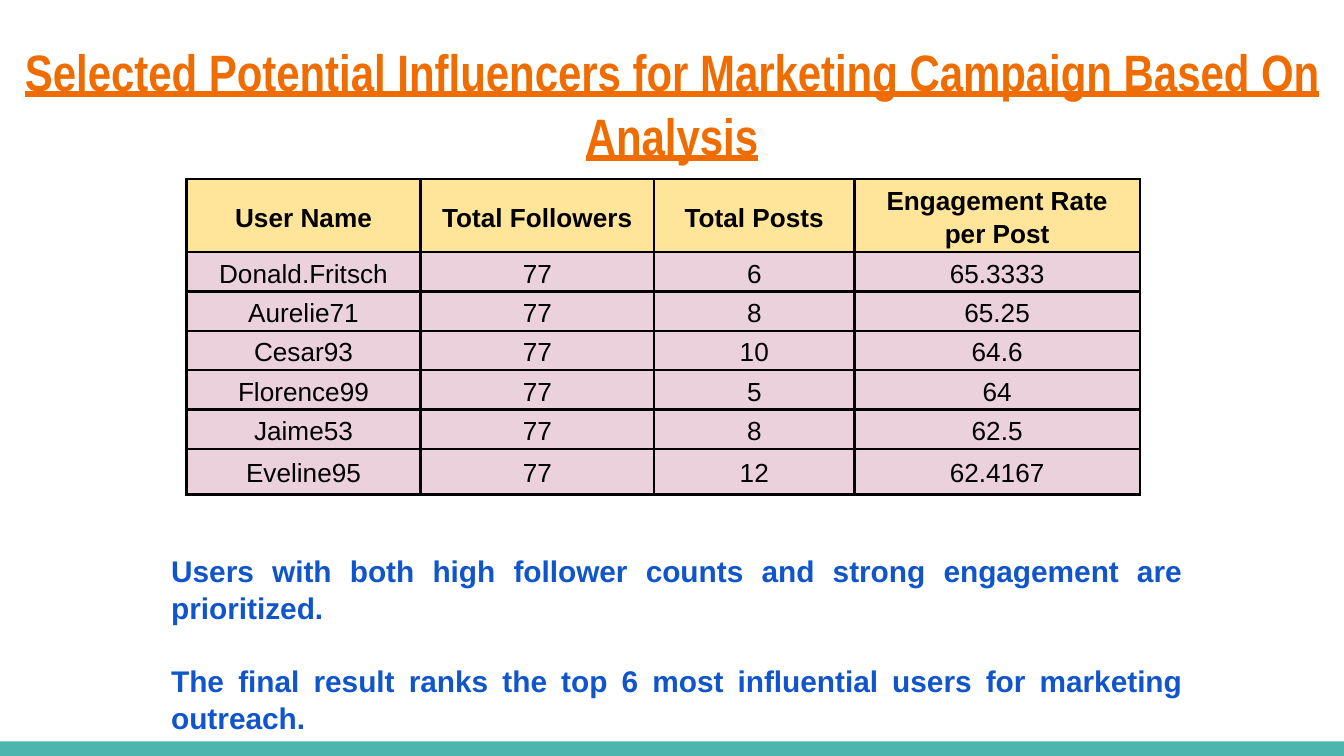
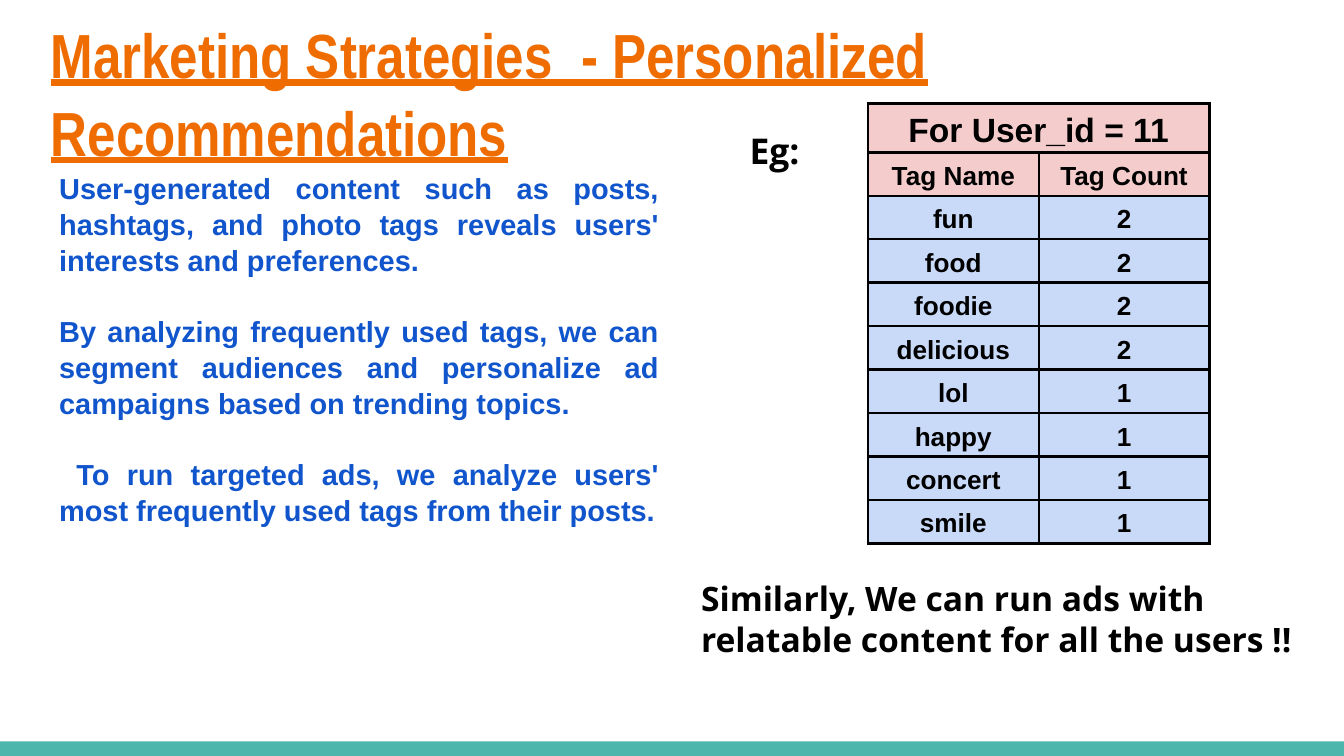
from lxml.etree import SubElement
from pptx import Presentation
from pptx.dml.color import RGBColor
from pptx.enum.shapes import MSO_SHAPE
from pptx.enum.text import MSO_ANCHOR, MSO_AUTO_SIZE, PP_ALIGN
from pptx.oxml.ns import qn
from pptx.util import Pt

# Shared style
PAGE_WIDTH, PAGE_HEIGHT = 720, 405
BAND_HEIGHT = 7.8
TEAL, ORANGE, BLUE, BLACK = "4DB6AC", "EF6C00", "1155CC", "000000"
YELLOW, MAUVE, PINK, PALE_BLUE = "FFE599", "EAD1DC", "F4CCCC", "C9DAF8"
TITLE_FONT, TEXT_FONT, NOTE_FONT = "Arial Narrow", "Arial", "Open Sans"
LINE_SPACING = 1.04


def color(value):
    return RGBColor.from_string(value)


def place(shape, box):
    shape.left, shape.top, shape.width, shape.height = (Pt(length) for length in box)


def format_para(para, font, size, ink, bold=True, underline=None, align=PP_ALIGN.LEFT):
    para.alignment = align
    for span in para.runs:
        span.font.name = font
        span.font.size = Pt(size)
        span.font.bold = bold
        span.font.underline = underline
        span.font.color.rgb = color(ink)


def prepare_frame(shape):
    frame = shape.text_frame
    frame.word_wrap = True
    frame.auto_size = MSO_AUTO_SIZE.NONE
    frame.vertical_anchor = MSO_ANCHOR.TOP
    frame.margin_left = frame.margin_right = Pt(7.2)
    frame.margin_top = frame.margin_bottom = Pt(7.2)
    return frame


def add_band(deck, page):
    """Draw the bottom band and move it to the master, where all pages share it."""
    band = page.shapes.add_shape(MSO_SHAPE.RECTANGLE, 0, 0, 0, 0)
    place(band, (0, PAGE_HEIGHT - BAND_HEIGHT, PAGE_WIDTH, BAND_HEIGHT))
    band.shadow.inherit = False
    band.fill.solid()
    band.fill.fore_color.rgb = color(TEAL)
    band.line.fill.background()
    deck.slide_master.shapes.element.append(band.element)


def fill_title(page, box, text, size, align=PP_ALIGN.LEFT):
    title = page.shapes.title
    place(title, box)
    frame = prepare_frame(title)
    frame.text = text
    para = frame.paragraphs[0]
    para.line_spacing = LINE_SPACING
    format_para(para, TITLE_FONT, size, ORANGE, underline=True, align=align)


def fill_body(page, box, lines, size):
    body = page.placeholders[1]
    place(body, box)
    frame = prepare_frame(body)
    frame.text = "\n".join(lines)
    for para in frame.paragraphs:
        para.line_spacing = LINE_SPACING
        para.space_before = Pt(0)
        para.space_after = Pt(size * 1.2)
        format_para(para, TEXT_FONT, size, BLUE, align=PP_ALIGN.JUSTIFY)
        # No bullet, no hanging indent
        properties = para._p.get_or_add_pPr()
        properties.set("marL", "0")
        properties.set("indent", "0")
        SubElement(properties, qn("a:buNone"))


def add_note(page, box, text, size):
    note = page.shapes.add_textbox(0, 0, 0, 0)
    place(note, box)
    frame = prepare_frame(note)
    frame.text = text
    format_para(frame.paragraphs[0], NOTE_FONT, size, BLACK)


def add_borders(cell):
    properties = cell._tc.get_or_add_tcPr()
    for side in ("a:lnL", "a:lnR", "a:lnT", "a:lnB"):
        line = SubElement(properties, qn(side), w=str(Pt(1.5)))
        SubElement(SubElement(line, qn("a:solidFill")), qn("a:srgbClr"), val=BLACK)


def format_cell(cell, fill, size, bold):
    add_borders(cell)
    cell.fill.solid()
    cell.fill.fore_color.rgb = color(fill)
    cell.vertical_anchor = MSO_ANCHOR.MIDDLE
    cell.margin_left = cell.margin_right = Pt(2)
    cell.margin_top = cell.margin_bottom = Pt(1.5)
    para = cell.text_frame.paragraphs[0]
    para.line_spacing = 1.15
    format_para(para, TEXT_FONT, size, BLACK, bold, align=PP_ALIGN.CENTER)


def add_grid(page, left, top, widths, heights, rows, header_rows, fills, bold_body):
    """Add a bordered table; fills holds the header and the body colour."""
    frame = page.shapes.add_table(len(rows), len(widths), Pt(left), Pt(top),
                                  Pt(sum(widths)), Pt(sum(heights)))
    table = frame.table
    table.first_row = table.horz_banding = False
    for column, width in zip(table.columns, widths):
        column.width = Pt(width)
    for row, height in zip(table.rows, heights):
        row.height = Pt(height)
    for row_index, values in enumerate(rows):
        is_header = row_index < header_rows
        for column_index, value in enumerate(values):
            cell = table.cell(row_index, column_index)
            cell.text = value
            format_cell(cell, fills[0] if is_header else fills[1], 14,
                        is_header or bold_body)
    return table


def build_influencers(page):
    fill_title(page, (-15, 13, 750, 55.5),
               "Selected Potential Influencers for Marketing Campaign Based On Analysis",
               27.4, PP_ALIGN.CENTER)
    fill_body(page, (84.5, 288, 556.5, 63.5), [
        "Users with both high follower counts and strong engagement are prioritized.",
        "The final result ranks the top 6 most influential users for marketing outreach.",
    ], 16)
    influencers = [
        ("User Name", "Total Followers", "Total Posts", "Engagement Rate per Post"),
        ("Donald.Fritsch", "77", "6", "65.3333"),
        ("Aurelie71", "77", "8", "65.25"),
        ("Cesar93", "77", "10", "64.6"),
        ("Florence99", "77", "5", "64"),
        ("Jaime53", "77", "8", "62.5"),
        ("Eveline95", "77", "12", "62.4167"),
    ]
    table = add_grid(page, 100, 96, (125.25, 125.25, 107.25, 153),
                     [36] + [19.5] * 5 + [24.5], influencers, 1, (YELLOW, MAUVE), False)
    rate_header = table.cell(0, 3)
    rate_header.margin_left = rate_header.margin_right = Pt(7.2)


def build_recommendations(page):
    fill_title(page, (20, 0, 671, 55.5),
               "Marketing Strategies  - Personalized Recommendations", 33.4)
    fill_body(page, (24.5, 83.5, 335.5, 247.5), [
        "User-generated content such as posts, hashtags, and photo tags reveals "
        "users' interests and preferences.",
        "By analyzing frequently used tags, we can segment audiences and personalize "
        "ad campaigns based on trending topics.",
        " To run targeted ads, we analyze users' most frequently used tags from their posts.",
    ], 15.5)
    # Example user with tag counts
    tags = [
        ("For User_id = 11", ""), ("Tag Name", "Tag Count"),
        ("fun", "2"), ("food", "2"), ("foodie", "2"), ("delicious", "2"),
        ("lol", "1"), ("happy", "1"), ("concert", "1"), ("smile", "1"),
    ]
    table = add_grid(page, 465, 55.5, (91.5, 91.5), [26] + [23.3] * 9,
                     tags, 2, (PINK, PALE_BLUE), True)
    heading = table.cell(0, 0)
    heading.merge(table.cell(0, 1))
    heading.text_frame.paragraphs[0].runs[0].font.size = Pt(18)
    add_note(page, (368.5, 302.5, 344, 87),
             "Similarly, We can run ads with relatable content for all the users !!", 18)
    add_note(page, (394.5, 62, 43.5, 45.5), "Eg:", 19)


def main():
    deck = Presentation()
    deck.slide_width, deck.slide_height = Pt(PAGE_WIDTH), Pt(PAGE_HEIGHT)
    layout = deck.slide_layouts[1]
    for number, build in enumerate((build_influencers, build_recommendations)):
        page = deck.slides.add_slide(layout)
        if number == 0:
            add_band(deck, page)
        build(page)
    deck.save("out.pptx")


if __name__ == "__main__":
    main()
